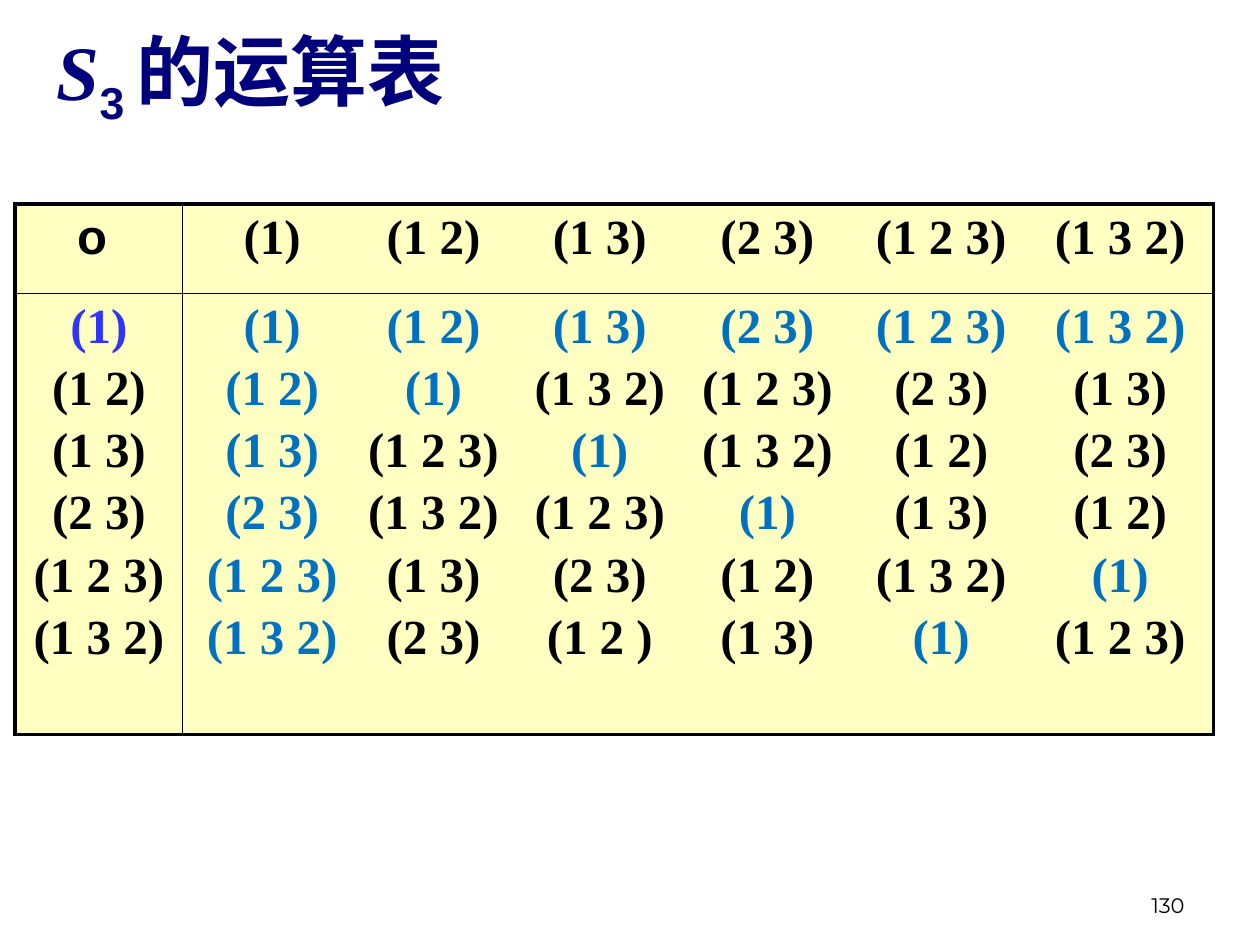
from lxml import etree
from pptx import Presentation
from pptx import util as u
from pptx.dml.color import RGBColor
from pptx.enum import text
from pptx.oxml import ns

NAVY = RGBColor(0x00, 0x00, 0x7D)
BLACK = RGBColor(0x00, 0x00, 0x00)
BLUE = RGBColor(0x00, 0x70, 0xC0)
VIOLET = RGBColor(0x33, 0x33, 0xFF)
CREAM = RGBColor(0xFF, 0xFF, 0xC1)
SERIF, SANS = "Times New Roman", "Arial"
HEAD = dict(size=u.Pt(44), bold=True)
BODY = dict(size=u.Pt(28), bold=True)
UNIT = "(1)"
ITEMS = [UNIT, "(1 2)", "(1 3)", "(2 3)", "(1 2 3)", "(1 3 2)"]
ROWS = [
    ITEMS,
    ["(1 2)", UNIT, "(1 3 2)", "(1 2 3)", "(2 3)", "(1 3)"],
    ["(1 3)", "(1 2 3)", UNIT, "(1 3 2)", "(1 2)", "(2 3)"],
    ["(2 3)", "(1 3 2)", "(1 2 3)", UNIT, "(1 3)", "(1 2)"],
    ["(1 2 3)", "(1 3)", "(2 3)", "(1 2)", "(1 3 2)", UNIT],
    ["(1 3 2)", "(2 3)", "(1 2 )", "(1 3)", UNIT, "(1 2 3)"],
]
STOPS = [0.61, 1.89, 3.21, 4.54, 5.92, 7.34]


def add_run(para, words, color, name, **form):
    """Add a run with the given font values."""
    run = para.add_run()
    run.text = words
    for key, value in dict(form, name=name).items():
        setattr(run.font, key, value)
    run.font.color.rgb = color
    return run


def place(shape, box):
    """Move a shape to a box of left, top, width and height."""
    for key, value in zip(("left", "top", "width", "height"), box):
        setattr(shape, key, u.Inches(value))


def add_title(slide, box):
    """Fill the title placeholder."""
    shape = slide.shapes.title
    place(shape, box)
    shape.text_frame.vertical_anchor = text.MSO_ANCHOR.MIDDLE
    para = shape.text_frame.paragraphs[0]
    para.alignment = text.PP_ALIGN.LEFT
    add_run(para, "S", NAVY, SERIF, italic=True, **HEAD)
    sub = add_run(para, "3 ", NAVY, SANS, **HEAD)
    sub.font._element.set("baseline", "-25000")
    add_run(para, "的运算表", NAVY, SANS, **HEAD)


def add_lines(cell, sides):
    """Draw the four borders of a cell, given their widths in points."""
    props = cell._tc.get_or_add_tcPr()
    for spot, (side, width) in enumerate(sides.items()):
        line = etree.Element(ns.qn("a:ln" + side), w=str(u.Pt(width)))
        fill = etree.SubElement(line, ns.qn("a:solidFill"))
        etree.SubElement(fill, ns.qn("a:srgbClr"), val=str(BLACK))
        props.insert(spot, line)


def next_para(frame, first):
    """Return the first paragraph, or a new one with space before it."""
    if first:
        return frame.paragraphs[0]
    para = frame.add_paragraph()
    para.space_before = u.Pt(4.5)
    return para


def fill_side(cell, words):
    """List centred words in a cell of the left column."""
    for row, word in enumerate(words):
        para = next_para(cell.text_frame, row == 0)
        para.alignment = text.PP_ALIGN.CENTER
        color = VIOLET if word == UNIT else BLACK
        add_run(para, word, color, SERIF if word in ITEMS else SANS, **BODY)


def fill_grid(cell, rows, tint):
    """Set rows of products on centred tab stops, tinting the unit's."""
    for row, words in enumerate(rows):
        para = next_para(cell.text_frame, row == 0)
        tabs = etree.SubElement(para._p.get_or_add_pPr(), ns.qn("a:tabLst"))
        for stop in STOPS:
            etree.SubElement(tabs, ns.qn("a:tab"), pos=str(u.Inches(stop)), algn="ctr")
        for col, word in enumerate(words):
            mark = tint and (row == 0 or col == 0 or word == UNIT)
            add_run(para, "\t" + word, BLUE if mark else BLACK, SERIF, **BODY)


def add_grid(slide, box, split, top):
    """Add the operation table, split into head and body both ways."""
    left, head, width, height = box
    shape = slide.shapes.add_table(2, 2, *map(u.Inches, box))
    table = shape.table
    table.first_row = table.horz_banding = False
    for col, value in zip(table.columns, (split, width - split)):
        col.width = u.Inches(value)
    for row, value in zip(table.rows, (top, height - top)):
        row.height = u.Inches(value)
    fill_side(table.cell(0, 0), ["ο "])
    fill_side(table.cell(1, 0), ITEMS)
    fill_grid(table.cell(0, 1), [ITEMS], False)
    fill_grid(table.cell(1, 1), ROWS, True)
    thick, thin = 2.25, 1
    for row in range(2):
        for col in range(2):
            cell = table.cell(row, col)
            cell.fill.solid()
            cell.fill.fore_color.rgb = CREAM
            add_lines(cell, dict(
                L=thin if col else thick, R=thick if col else thin,
                T=thin if row else thick, B=thick if row else thin))


def add_number(slide, box):
    """Add the page number at the foot."""
    frame = slide.shapes.add_textbox(*map(u.Inches, box)).text_frame
    frame.word_wrap = True
    frame.vertical_anchor = text.MSO_ANCHOR.BOTTOM
    para = frame.paragraphs[0]
    para.alignment = text.PP_ALIGN.RIGHT
    add_run(para, "130", BLACK, "Montserrat", size=u.Pt(12))


def main():
    """Build and save the slide."""
    deck = Presentation()
    deck.slide_width, deck.slide_height = u.Inches(10), u.Inches(7.5)
    slide = deck.slides.add_slide(deck.slide_layouts[5])
    add_number(slide, (7.17, 6.83, 2.33, 0.5))
    add_title(slide, (0.35, 0, 8.75, 1.2))
    add_grid(slide, (0.12, 1.62, 9.51, 4.21), 1.33, 0.71)
    deck.save("out.pptx")


if __name__ == "__main__":
    main()
